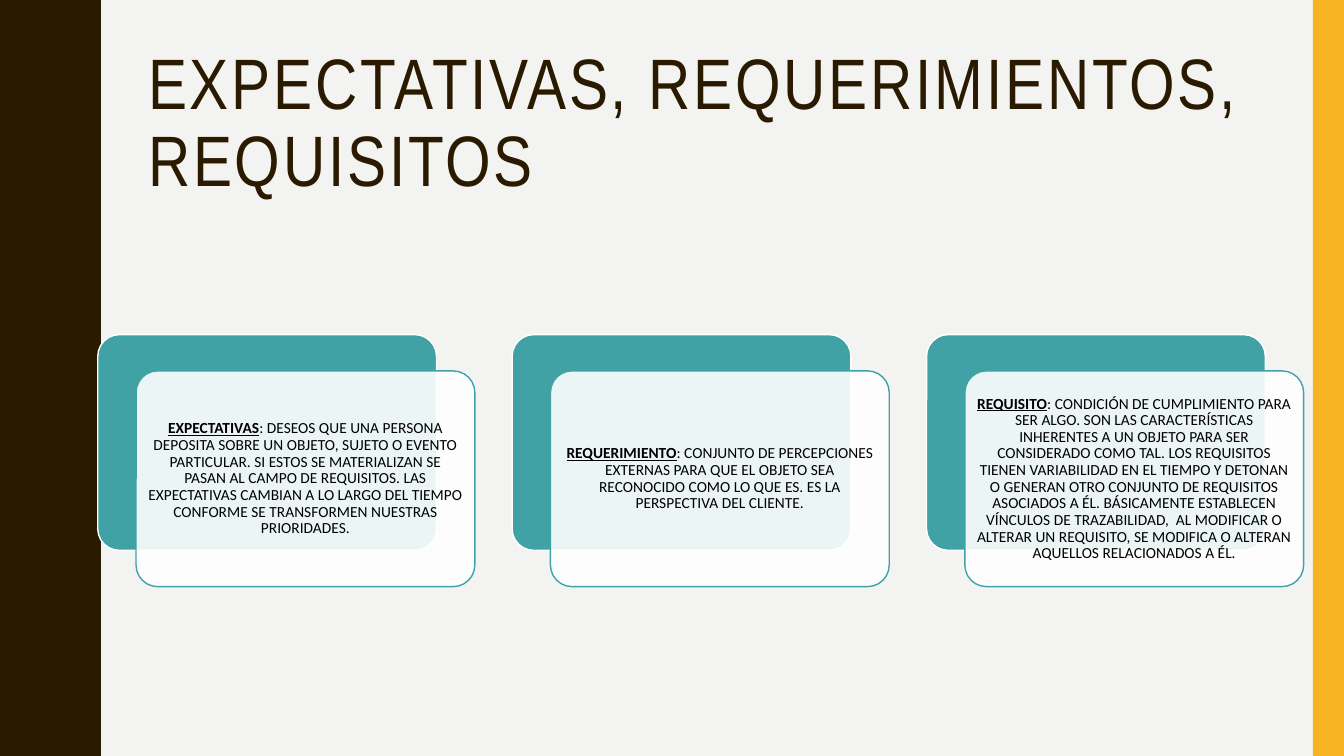
from lxml import etree
from pptx import Presentation
from pptx import util as u
from pptx.dml.color import RGBColor
from pptx.enum import shapes, text
from pptx.oxml.ns import qn

COLORS = {"bg": "F3F3F2", "dark": "2A1A00", "gold": "F8B323",
          "teal": "40A2A4", "white": "FFFFFF", "black": "000000"}
W, H = 13.33, 7.5

# Half a wave of the left edge as (x, y); the other half mirrors it
HALF_WAVE = [(0.78, 0), (0.78, 0.07), (0.79, 0.14), (0.8, 0.2), (0.81, 0.25),
             (0.83, 0.29), (0.85, 0.33), (0.87, 0.38), (0.89, 0.42), (0.91, 0.46),
             (0.93, 0.5), (0.95, 0.55), (0.96, 0.61), (0.97, 0.68), (0.97, 0.75)]
PERIOD = 1.5

CARDS = [
    ("EXPECTATIVAS",
     ": DESEOS QUE UNA PERSONA DEPOSITA SOBRE UN OBJETO, SUJETO O EVENTO PARTICULAR. "
     "SI ESTOS SE MATERIALIZAN SE PASAN AL CAMPO DE REQUISITOS. LAS EXPECTATIVAS CAMBIAN "
     "A LO LARGO DEL TIEMPO CONFORME SE TRANSFORMEN NUESTRAS PRIORIDADES."),
    ("REQUERIMIENTO",
     ": CONJUNTO DE PERCEPCIONES EXTERNAS PARA QUE EL OBJETO SEA RECONOCIDO COMO LO QUE ES. "
     "ES LA PERSPECTIVA DEL CLIENTE."),
    ("REQUISITO",
     ": CONDICIÓN DE CUMPLIMIENTO PARA SER ALGO. SON LAS CARACTERÍSTICAS INHERENTES A UN "
     "OBJETO PARA SER CONSIDERADO COMO TAL. LOS REQUISITOS TIENEN VARIABILIDAD EN EL TIEMPO "
     "Y DETONAN O GENERAN OTRO CONJUNTO DE REQUISITOS ASOCIADOS A ÉL. BÁSICAMENTE ESTABLECEN "
     "VÍNCULOS DE TRAZABILIDAD,  AL MODIFICAR O ALTERAR UN REQUISITO, SE MODIFICA O ALTERAN "
     "AQUELLOS RELACIONADOS A ÉL."),
]


def rgb(name):
    return RGBColor.from_string(COLORS[name])


def add_run(p, content, font="Calibri", size=11, color="black",
            bold=False, underline=False, spacing=None):
    r = p.add_run()
    r.text = content
    r.font.name, r.font.size = font, u.Pt(size)
    r.font.bold, r.font.underline = bold, underline
    r.font.color.rgb = rgb(color)
    if spacing is not None:
        r.font._element.set("spc", str(spacing * 100))


class Deck:
    def __init__(self):
        self.prs = Presentation()
        self.prs.slide_width, self.prs.slide_height = u.Inches(W), u.Inches(H)
        self.s = self.prs.slides.add_slide(self.prs.slide_layouts[5])
        self.s.background.fill.solid()
        self.s.background.fill.fore_color.rgb = rgb("bg")

    def paint(self, sp, fill, line=None, alpha=None):
        sp.shadow.inherit = False
        sp.fill.solid()
        sp.fill.fore_color.rgb = rgb(fill)
        if alpha is not None:
            clr = sp._element.spPr.find(qn("a:solidFill"))[0]
            etree.SubElement(clr, qn("a:alpha")).set("val", str(alpha * 1000))
        if line:
            sp.line.color.rgb = rgb(line)
            sp.line.width = u.Pt(1)
        else:
            sp.line.fill.background()

    def box(self, parent, kind, x, y, w, h, fill, **style):
        sp = parent.add_shape(kind, *map(u.Inches, (x, y, w, h)))
        self.paint(sp, fill, **style)
        return sp

    def wavy_band(self):
        wave = HALF_WAVE + [(x, PERIOD - y) for x, y in HALF_WAVE[-2::-1]]
        edge = [(x, y + i * PERIOD) for i in range(round(H / PERIOD)) for x, y in wave]
        fb = self.s.shapes.build_freeform(0, 0, scale=u.Inches(1))
        fb.add_line_segments(edge + [(0, H)], close=True)
        self.paint(fb.convert_to_shape(), "dark")

    def title(self, content, x, y, w, h):
        sp = self.s.shapes.title
        sp.left, sp.top, sp.width, sp.height = map(u.Inches, (x, y, w, h))
        tf = sp.text_frame
        tf.auto_size = text.MSO_AUTO_SIZE.NONE
        tf.word_wrap = True
        tf.vertical_anchor = text.MSO_ANCHOR.MIDDLE
        p = tf.paragraphs[0]
        p.alignment, p.line_spacing = text.PP_ALIGN.LEFT, 0.9
        add_run(p, content, font="Arial Narrow", size=51, color="dark", spacing=2)

    def text_box(self, parent, x, y, w, h, term, definition):
        tf = parent.add_textbox(*map(u.Inches, (x, y, w, h))).text_frame
        tf.word_wrap = True
        tf.vertical_anchor = text.MSO_ANCHOR.MIDDLE
        tf.margin_left = tf.margin_right = tf.margin_top = tf.margin_bottom = u.Inches(0.05)
        p = tf.paragraphs[0]
        p.alignment, p.line_spacing = text.PP_ALIGN.CENTER, 0.9
        add_run(p, term, bold=True, underline=True)
        add_run(p, definition)

    def card(self, parent, x, y, term, definition):
        w, h = 3.36, 2.14
        rounded = shapes.MSO_SHAPE.ROUNDED_RECTANGLE
        back = self.box(parent, rounded, x, y, w, h, "teal", line="white")
        x, y = x + 0.38, y + 0.36
        front = self.box(parent, rounded, x, y, w, h, "white", line="teal", alpha=90)
        back.adjustments[0] = front.adjustments[0] = 0.1
        pad = 0.06
        self.text_box(parent, x + pad, y + pad, w - 2 * pad, h - 2 * pad, term, definition)


def main():
    deck = Deck()
    # Side decoration
    deck.wavy_band()
    deck.box(deck.s.shapes, shapes.MSO_SHAPE.RECTANGLE, W - 0.31, 0, 0.31, H, "gold")
    # Heading, raised above the decoration
    deck.title("EXPECTATIVAS, REQUERIMIENTOS, REQUISITOS", 1.37, 0.42, 11.13, 1.63)
    deck.s.shapes._spTree.append(deck.s.shapes.title._element)
    # Definition cards
    group = deck.s.shapes.add_group_shape().shapes
    for i, (term, definition) in enumerate(CARDS):
        deck.card(group, 0.97 + i * 4.11, 3.32, term, definition)
    deck.prs.save("out.pptx")


if __name__ == "__main__":
    main()
